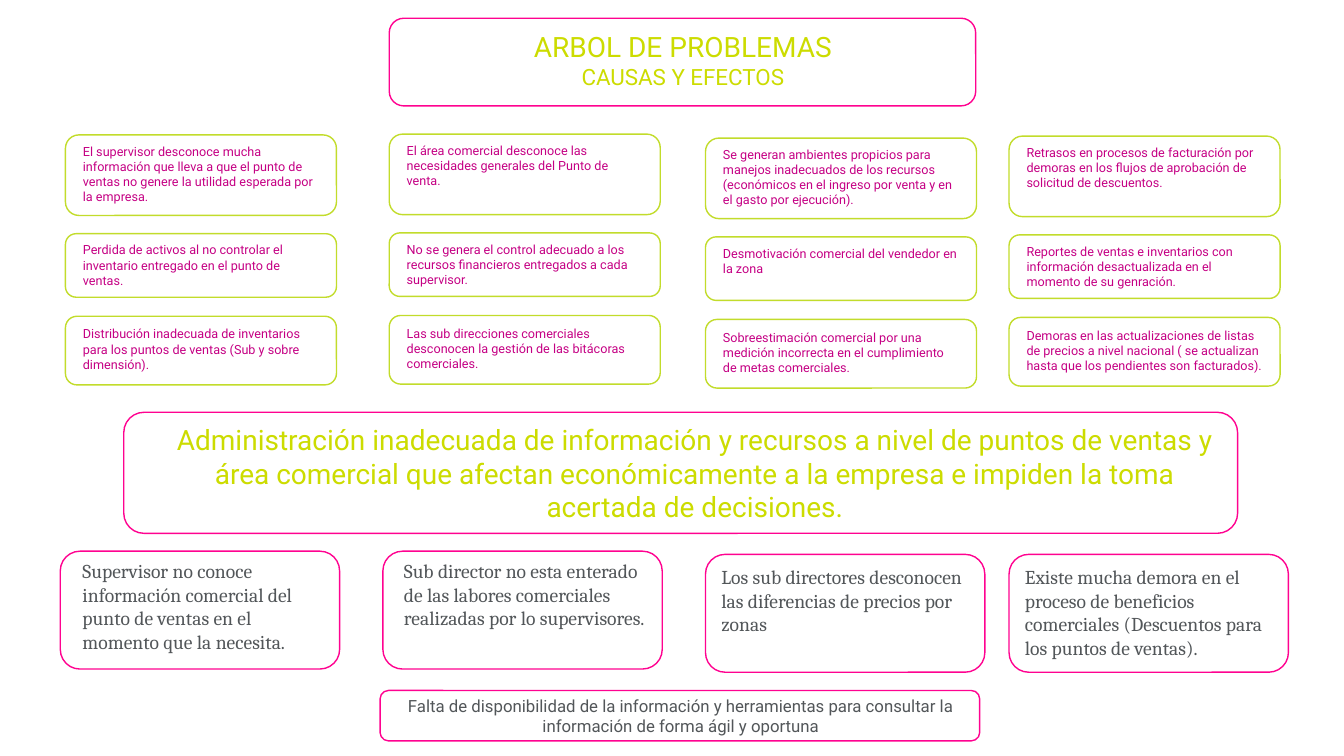
from pptx import Presentation
from pptx.dml.color import RGBColor
from pptx.enum.shapes import MSO_SHAPE
from pptx.enum.text import MSO_AUTO_SIZE, PP_ALIGN
from pptx.util import Cm, Pt

PINK = RGBColor(0xFF, 0x02, 0x90)
GREEN = RGBColor(0xC2, 0xDC, 0x2B)
LIME = RGBColor(0xCC, 0xDC, 0x00)
MAGENTA = RGBColor(0xC5, 0x00, 0x84)
GRAY = RGBColor(0x52, 0x56, 0x59)

EFFECT_COLUMNS = [  # left, top, texts
    (1.65, 3.40, [
        "El supervisor desconoce mucha información que lleva a que el punto de "
        "ventas no genere la utilidad esperada por la empresa.",
        "Perdida de activos al no controlar el inventario entregado en el punto de ventas.",
        "Distribución inadecuada de inventarios para los puntos de ventas "
        "(Sub y sobre dimensión)."]),
    (9.81, 3.38, [
        "El área comercial desconoce las necesidades generales del Punto de venta.",
        "No se genera el control adecuado a los recursos financieros entregados "
        "a cada supervisor.",
        "Las sub direcciones comerciales desconocen la gestión de las bitácoras comerciales."]),
    (17.78, 3.48, [
        "Se generan ambientes propicios para manejos inadecuados de los recursos "
        "(económicos en el ingreso por venta y en el gasto por ejecución).",
        "Desmotivación comercial del vendedor en la zona",
        "Sobreestimación comercial por una medición incorrecta en el cumplimiento "
        "de metas comerciales."]),
    (25.43, 3.43, [
        "Retrasos en procesos de facturación por demoras en los flujos de aprobación "
        "de solicitud de descuentos.",
        "Reportes de ventas e inventarios con información desactualizada en el momento "
        "de su genración.",
        "Demoras en las actualizaciones de listas de precios a nivel nacional "
        "( se actualizan hasta que los pendientes son facturados)."]),
]
EFFECT_ROWS = [  # offset from column top, box height, text inset, text height
    (0, 2.03, 0.09, 1.8),
    (2.49, 1.6, 0.09, 1.42),
    (4.57, 1.73, 0.13, 1.42),
]
CAUSES = [  # box left, box top, text left, text top, text height, text
    (1.52, 13.99 - 0.1, 1.83, 13.97, 2.64,
     "Supervisor no conoce información comercial del punto de ventas en el momento "
     "que la necesita."),
    (9.65, 13.89, 9.93, 13.97, 2.64,
     "Sub director no esta enterado de las labores comerciales realizadas por lo "
     "supervisores."),
    (17.78, 13.97, 17.93, 14.12, 2.06,
     "Los sub directores desconocen las diferencias de precios por zonas"),
    (25.43, 13.97, 25.58, 14.12, 2.64,
     "Existe mucha demora en el proceso de beneficios comerciales (Descuentos para "
     "los puntos de ventas)."),
]


class ProblemTree:
    """Hold the text style and the current slide."""

    font = "Roboto"

    def __init__(self, prs):
        """Add a blank slide."""
        self.s = prs.slides.add_slide(prs.slide_layouts[6])

    def group(self):
        """Return the shapes of a new group."""
        return self.s.shapes.add_group_shape().shapes

    def box(self, x, y, w, h, color, shapes=None):
        """Draw an unfilled rounded box."""
        shapes = self.s.shapes if shapes is None else shapes
        sp = shapes.add_shape(MSO_SHAPE.ROUNDED_RECTANGLE, Cm(x), Cm(y), Cm(w), Cm(h))
        sp.shadow.inherit = False
        sp.fill.background()
        sp.line.color.rgb = color
        sp.line.width = Pt(1)

    def text(self, x, y, w, h, lines, color, align=PP_ALIGN.LEFT, font=None, shapes=None):
        """Add wrapped text; lines holds (text, size) pairs, one per paragraph."""
        shapes = self.s.shapes if shapes is None else shapes
        tf = shapes.add_textbox(Cm(x), Cm(y), Cm(w), Cm(h)).text_frame
        tf.word_wrap = True
        tf.auto_size = MSO_AUTO_SIZE.SHAPE_TO_FIT_TEXT
        for i, (text, size) in enumerate(lines):
            p = tf.add_paragraph() if i else tf.paragraphs[0]
            p.alignment = align
            r = p.add_run()
            r.text = text
            for name, value in {"name": font or self.font, "size": Pt(size)}.items():
                setattr(r.font, name, value)
            r.font.color.rgb = color


prs = Presentation()
prs.slide_width, prs.slide_height = Cm(33.87), Cm(19.05)
tree = ProblemTree(prs)

tree.text(10.01, 0.61, 14.4, 1.8, [("ARBOL DE PROBLEMAS", 20), ("CAUSAS Y EFECTOS", 16)],
          LIME, PP_ALIGN.CENTER)
tree.box(9.81, 0.46, 14.78, 2.21, PINK)

for left, top, texts in EFFECT_COLUMNS:
    for text, (offset, height, inset, text_height) in zip(texts, EFFECT_ROWS):
        pair = tree.group()
        y = top + offset
        tree.text(left + 0.19, y + inset, 6.45, text_height, [(text, 9)], MAGENTA, shapes=pair)
        tree.box(left, y, 6.83, height, GREEN, pair)

tree.text(3.81, 10.52, 27.41, 2.82, [(
    "Administración inadecuada de información y recursos a nivel de puntos de ventas y "
    "área comercial que afectan económicamente a la empresa e impiden la toma acertada "
    "de decisiones.", 20)], LIME, PP_ALIGN.CENTER)
tree.box(3.12, 10.39, 28.07, 3.05, PINK)

for left, top, text_left, text_top, text_height, text in CAUSES:
    tree.text(text_left, text_top, 6.76, text_height, [(text, 14)], GRAY, font="Cambria")
    tree.box(left, top, 7.04, 2.97, PINK)

root = tree.group()
tree.box(9.58, 17.4, 15.11, 1.27, PINK, root)
tree.text(9.3, 17.4, 15.72, 1.27, [(
    "Falta de disponibilidad de la información y herramientas para consultar la "
    "información de forma ágil y oportuna", 12)], GRAY, PP_ALIGN.CENTER, shapes=root)

prs.save("out.pptx")
